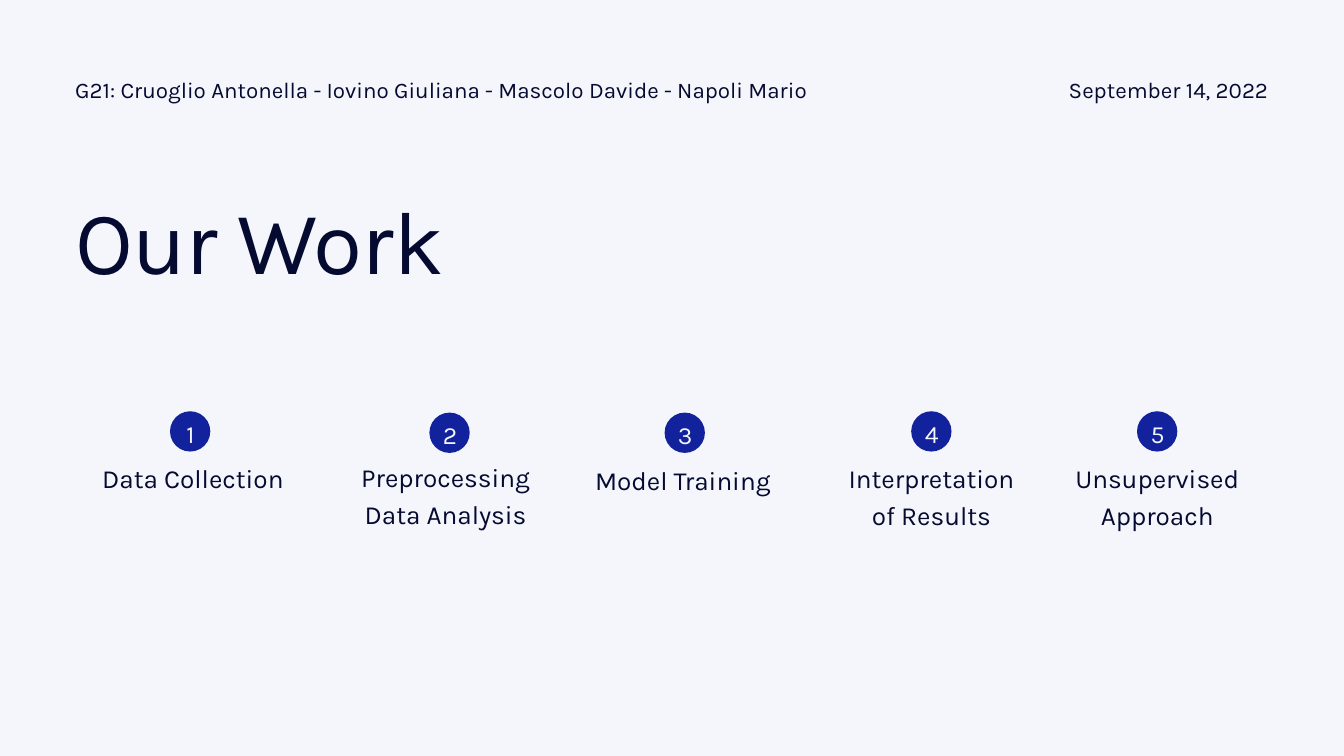
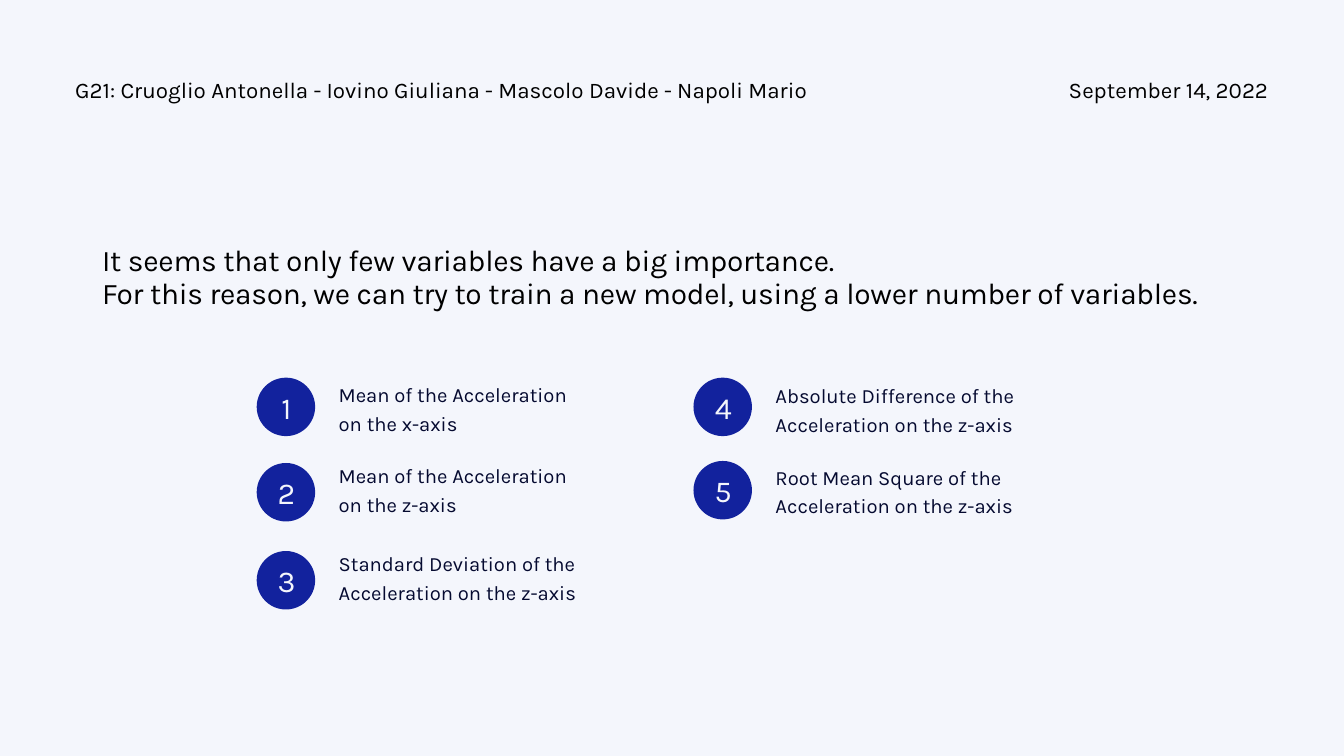
from dataclasses import dataclass

from pptx import Presentation
from pptx.dml.color import RGBColor
from pptx.enum.shapes import MSO_SHAPE
from pptx.enum.text import PP_ALIGN
from pptx.util import Inches, Pt

OVAL = MSO_SHAPE.OVAL
LEFT, CENTER, RIGHT = PP_ALIGN.LEFT, PP_ALIGN.CENTER, PP_ALIGN.RIGHT


@dataclass(frozen=True)
class TextStyle:
    size: float
    line: float  # line pitch in points
    color: str
    align: int = LEFT
    tracking: int = 0  # hundredths of a point


class Theme:
    font = "Karla"
    background = "F4F6FC"
    navy = "050A30"
    black = "000000"
    badge = "12229D"
    title = TextStyle(96, 96, navy, tracking=-100)
    statement = TextStyle(32, 35.2, black, tracking=-30)
    step = TextStyle(28, 39.2, navy, CENTER)
    variable = TextStyle(21.7, 30.4, navy)
    step_number = TextStyle(26.5, 29.1, background, CENTER)
    variable_number = TextStyle(32.6, 35.8, background, CENTER)


# Content
TEAM = "G21: Cruoglio Antonella - Iovino Giuliana - Mascolo Davide - Napoli Mario"
DATE = "September 14, 2022"
TITLE = "Our Work"

# Label lines, badge left and top, label left, top and width
STEPS = [
    (["Data Collection"], (2.53, 6.12), (0.94, 6.8, 3.86)),
    (["Preprocessing Data Analysis"], (6.39, 6.14), (5.12, 6.79, 3.02)),
    (["Model Training"], (9.89, 6.14), (8.8, 6.83, 2.72)),
    (["Interpretation", "of Results"], (13.56, 6.12), (12.18, 6.81, 3.36)),
    (["Unsupervised", "Approach"], (16.92, 6.12), (15.54, 6.81, 3.36)),
]

STATEMENT = [
    "It seems that only few variables have a big importance.",
    "For this reason, we can try to train a new model, using a lower number of variables.",
]

# Column left, then label lines, badge top and label top of each variable
VARIABLE_COLUMNS = [
    (3.82, [
        (["Mean of the Acceleration", "on the x-axis"], 5.62, 5.63),
        (["Mean of the Acceleration", "on the z-axis"], 6.89, 6.84),
        (["Standard Deviation of the Acceleration on the z-axis"], 8.2, 8.15),
    ]),
    (10.32, [
        (["Absolute Difference of the Acceleration on the z-axis"], 5.62, 5.65),
        (["Root Mean Square of the Acceleration on the z-axis"], 6.86, 6.86),
    ]),
]

# Measures in inches
MARGIN = 1.12
STEP_BADGE = 0.6
VARIABLE_BADGE = 0.87
LABEL_OFFSET = 1.22
VARIABLE_WIDTH = 4.2


def add_text(slide, lines, left, top, width, height, style):
    box = slide.shapes.add_textbox(*map(Inches, (left, top, width, height)))
    frame = box.text_frame
    frame_format = {"word_wrap": True, "margin_left": 0, "margin_top": 0,
                    "margin_right": 0, "margin_bottom": 0}
    for name, value in frame_format.items():
        setattr(frame, name, value)
    for index, line in enumerate(lines):
        paragraph = frame.add_paragraph() if index else frame.paragraphs[0]
        paragraph.alignment = style.align
        paragraph.line_spacing = Pt(style.line)
        run = paragraph.add_run()
        run.text = line
        for name, value in {"name": Theme.font, "size": Pt(style.size)}.items():
            setattr(run.font, name, value)
        run.font.color.rgb = RGBColor.from_string(style.color)
        if style.tracking:
            run.font._element.set("spc", str(style.tracking))


def add_badge(slide, number, left, top, size, style):
    """A filled circle with its number, placed in proportion to the circle."""
    circle = slide.shapes.add_shape(OVAL, *map(Inches, (left, top, size, size)))
    circle.shadow.inherit = False
    circle.fill.solid()
    circle.fill.fore_color.rgb = RGBColor.from_string(Theme.badge)
    circle.line.fill.background()
    add_text(slide, [str(number)], left + 0.26 * size, top + 0.25 * size,
             0.5 * size, 0.57 * size, style)


def add_page(presentation, header_color):
    """A blank slide with the shared background and header line."""
    slide = presentation.slides.add_slide(presentation.slide_layouts[6])
    slide.background.fill.solid()
    slide.background.fill.fore_color.rgb = RGBColor.from_string(Theme.background)
    for text, left, width, align in ((DATE, 14.57, 4.3, RIGHT),
                                     (TEAM, MARGIN, 11.87, LEFT)):
        add_text(slide, [text], left, 1.07, width, 0.44,
                 TextStyle(24, 33.6, header_color, align))
    return slide


def build_work_slide(presentation):
    slide = add_page(presentation, Theme.navy)
    add_text(slide, [TITLE], MARGIN, 3.02, 9.46, 1.4, Theme.title)
    for number, (lines, badge_position, label_position) in enumerate(STEPS, 1):
        add_badge(slide, number, *badge_position, STEP_BADGE, Theme.step_number)
        add_text(slide, lines, *label_position, 1.05, Theme.step)


def build_variables_slide(presentation):
    slide = add_page(presentation, Theme.black)
    add_text(slide, STATEMENT, 1.52, 3.64, 16.96, 1, Theme.statement)
    number = 0
    for left, variables in VARIABLE_COLUMNS:
        for lines, badge_top, label_top in variables:
            number += 1
            add_badge(slide, number, left, badge_top, VARIABLE_BADGE,
                      Theme.variable_number)
            add_text(slide, lines, left + LABEL_OFFSET, label_top,
                     VARIABLE_WIDTH, 0.85, Theme.variable)


def main():
    presentation = Presentation()
    presentation.slide_width = Inches(20)
    presentation.slide_height = Inches(11.25)
    build_work_slide(presentation)
    build_variables_slide(presentation)
    presentation.save("out.pptx")


if __name__ == "__main__":
    main()
